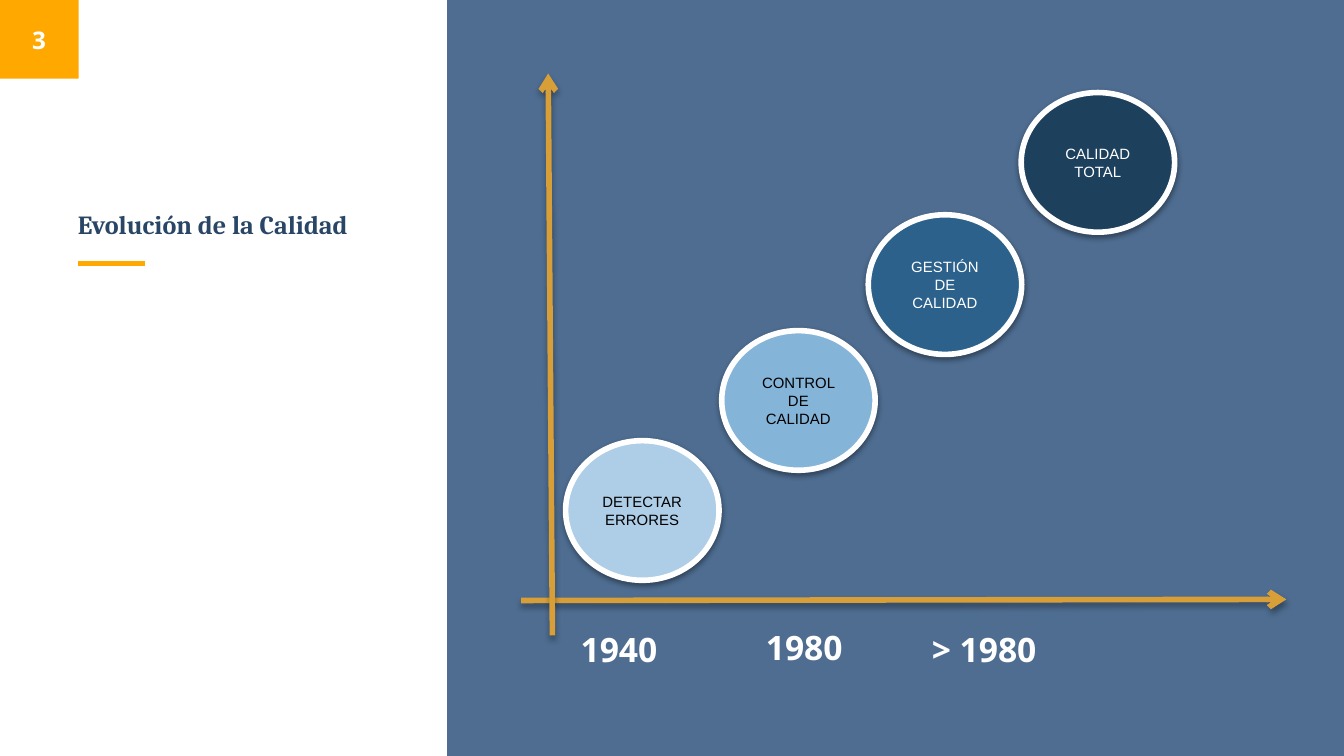
import lxml.etree
import pptx
import pptx.dml.color
import pptx.enum.shapes
import pptx.enum.text
import pptx.oxml
import pptx.oxml.ns
import pptx.util
from pptx.util import Cm

AMBER = "FFA800"
WHITE = "FFFFFF"
GOLD = "D89F39"
NAVY = "294667"
BLACK = "000000"

ALIGN = pptx.enum.text.PP_ALIGN
ANCHOR = pptx.enum.text.MSO_ANCHOR
SHAPE = pptx.enum.shapes.MSO_SHAPE
qn = pptx.oxml.ns.qn


def color(hex_string):
    return pptx.dml.color.RGBColor.from_string(hex_string)


class SlideStyle:
    heading_font = "Cambria"
    label_font = "Open Sans"
    stage_font = "Arial"

    def __init__(self, slide):
        self.slide = slide

    def set_words(self, frame, words, font, size, ink, bold=True,
                  align=ALIGN.CENTER, anchor=ANCHOR.TOP, inset=0.25):
        frame.text = words
        frame.word_wrap = True
        frame.auto_size = pptx.enum.text.MSO_AUTO_SIZE.NONE
        frame.vertical_anchor = anchor
        frame.margin_left = frame.margin_right = Cm(inset)
        frame.margin_top = frame.margin_bottom = Cm(inset)
        paragraph = frame.paragraphs[0]
        paragraph.alignment = align
        paragraph.font.name = font
        paragraph.font.size = pptx.util.Pt(size)
        paragraph.font.bold = bold
        paragraph.font.color.rgb = color(ink)

    def title(self, words, left, top, width, height):
        heading = self.slide.shapes.title
        heading.left, heading.top = Cm(left), Cm(top)
        heading.width, heading.height = Cm(width), Cm(height)
        self.set_words(heading.text_frame, words, self.heading_font, 14, NAVY,
                       align=ALIGN.LEFT, anchor=ANCHOR.BOTTOM)

    def block(self, left, top, width, height, fill, opacity=100):
        block = self.slide.shapes.add_shape(
            SHAPE.RECTANGLE, Cm(left), Cm(top), Cm(width), Cm(height))
        block.shadow.inherit = False
        block.fill.solid()
        block.fill.fore_color.rgb = color(fill)
        block.line.fill.background()
        if opacity < 100:
            tint = block._element.spPr.find(".//" + qn("a:srgbClr"))
            lxml.etree.SubElement(tint, qn("a:alpha"), val=str(opacity * 1000))

    def label(self, words, left, top, width, height, size, anchor=ANCHOR.TOP):
        box = self.slide.shapes.add_textbox(
            Cm(left), Cm(top), Cm(width), Cm(height))
        self.set_words(box.text_frame, words, self.label_font, size, WHITE,
                       anchor=anchor)

    def cast_shadow(self, effects, opacity, distance):
        shadow = lxml.etree.SubElement(
            effects, qn("a:outerShdw"), blurRad=str(pptx.util.Pt(3.1)),
            dist=str(pptx.util.Pt(distance)), dir="5400000", rotWithShape="0")
        tint = lxml.etree.SubElement(shadow, qn("a:srgbClr"), val=BLACK)
        lxml.etree.SubElement(tint, qn("a:alpha"), val=str(opacity * 1000))

    def line(self, x1, y1, x2, y2, ink, weight, arrow=False):
        connector = self.slide.shapes.add_connector(
            pptx.enum.shapes.MSO_CONNECTOR.STRAIGHT,
            Cm(x1), Cm(y1), Cm(x2), Cm(y2))
        connector.line.color.rgb = color(ink)
        connector.line.width = pptx.util.Pt(weight)
        properties = connector._element.spPr
        effects = lxml.etree.SubElement(properties, qn("a:effectLst"))
        if arrow:
            lxml.etree.SubElement(properties.find(qn("a:ln")),
                                  qn("a:tailEnd"), type="arrow")
            self.cast_shadow(effects, 35, 1.8)

    def stage(self, words, left, top, fill, ink):
        circle = self.slide.shapes.add_shape(
            SHAPE.OVAL, Cm(left), Cm(top), Cm(2.9), Cm(2.64))
        circle.fill.solid()
        circle.fill.fore_color.rgb = color(fill)
        circle.line.color.rgb = color(WHITE)
        circle.line.width = pptx.util.Pt(3)
        circle.shadow.inherit = False
        effects = circle._element.spPr.find(qn("a:effectLst"))
        self.cast_shadow(effects, 38, 1.6)
        self.set_words(circle.text_frame, words, self.stage_font, 8, ink,
                       bold=False, anchor=ANCHOR.MIDDLE, inset=0.2)


def main():
    deck = pptx.Presentation()
    deck.slide_width, deck.slide_height = Cm(25.4), Cm(14.29)
    style = SlideStyle(deck.slides.add_slide(deck.slide_layouts[5]))

    style.block(8.45, 0, 16.95, 14.29, "325680", opacity=86)
    style.line(1.48, 4.98, 2.74, 4.98, AMBER, 2.25)
    style.block(0, 0, 1.49, 1.49, AMBER)
    style.title("Evolución de la Calidad", 1.22, 2.9, 6.53, 1.88)
    style.label("3", -0.02, 0, 1.52, 1.5, 13, anchor=ANCHOR.MIDDLE)

    style.line(9.85, 11.35, 24.31, 11.33, GOLD, 3, arrow=True)
    style.line(10.44, 12.01, 10.36, 1.39, GOLD, 3, arrow=True)

    years = [("1940", 10.67, 11.63, 2.06),
             ("1980", 14.17, 11.6, 2.06),
             ("> 1980", 17.25, 11.63, 2.7)]
    for year, left, top, width in years:
        style.label(year, left, top, width, 1.32, 18)

    stages = [("DETECTAR ERRORES", 10.69, 8.33, "AECDE6", BLACK),
              ("CONTROL DE CALIDAD", 13.64, 6.25, "85B4D9", BLACK),
              ("GESTIÓN DE CALIDAD", 16.41, 4.06, "2B618B", WHITE),
              ("CALIDAD TOTAL", 19.3, 1.75, "1D405D", WHITE)]
    for stage in stages:
        style.stage(*stage)

    deck.save("out.pptx")


if __name__ == "__main__":
    main()
